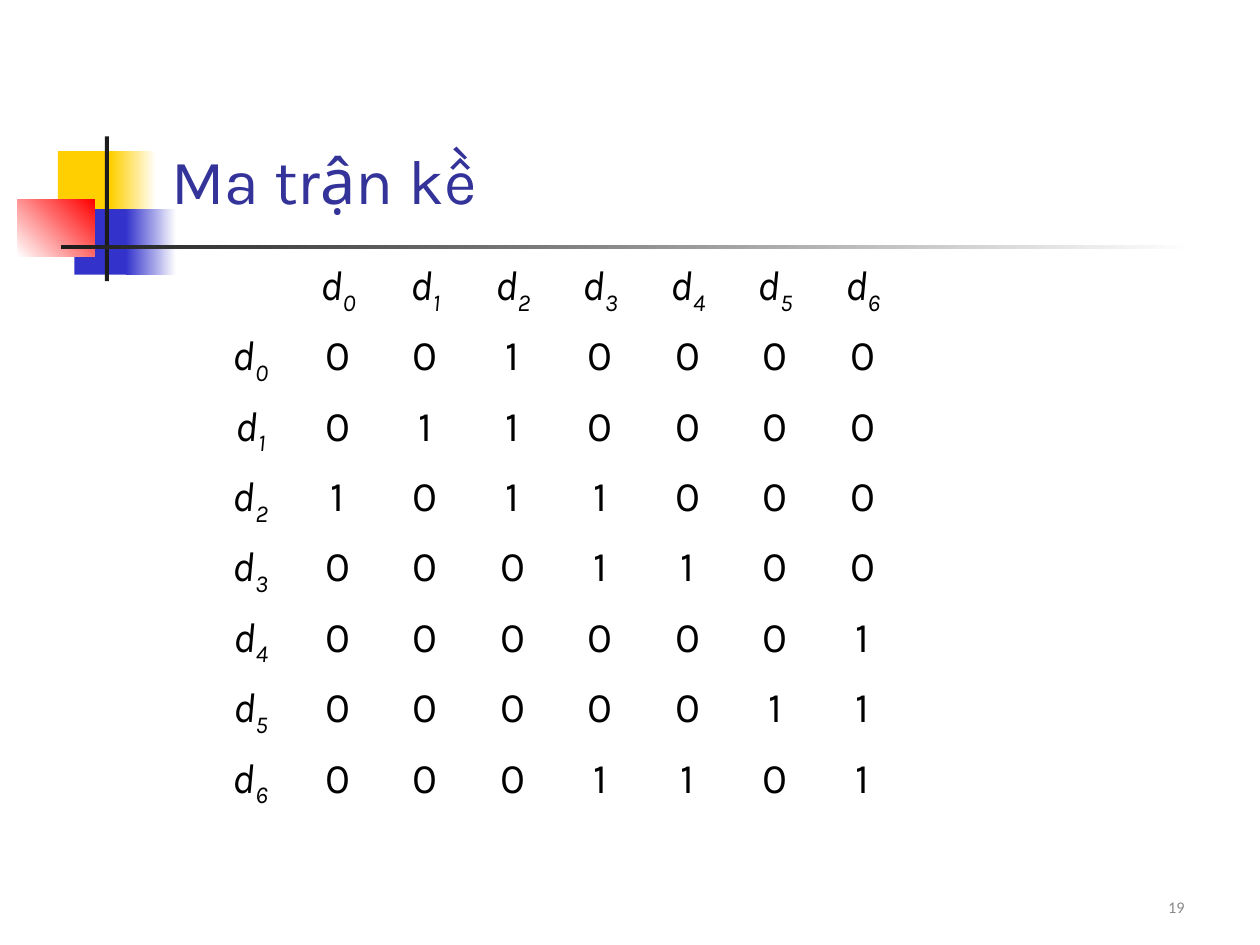
from dataclasses import dataclass

from pptx import Presentation
from pptx.dml.color import RGBColor
from pptx.enum.shapes import MSO_SHAPE
from pptx.enum.text import MSO_ANCHOR, PP_ALIGN
from pptx.util import Pt


@dataclass(frozen=True)
class Theme:
    yellow: str = "FFCF01"
    blue: str = "3333CC"
    red: str = "FF0000"
    dark: str = "1C1C1C"
    white: str = "FFFFFF"
    title: str = "333399"
    text: str = "000000"
    muted: str = "898989"
    font: str = "Karla"
    number_font: str = "Calibri"
    title_size: float = 36
    cell_size: float = 24
    number_size: float = 9.3


theme = Theme()


def set_font(p, name, size, color):
    p.font.name = name
    p.font.size = Pt(size)
    p.font.color.rgb = RGBColor.from_string(color)


prs = Presentation()
prs.slide_width, prs.slide_height = Pt(720), Pt(540)
s = prs.slides.add_slide(prs.slide_layouts[5])

# Corner ornament and rule: left, top, width, height, colours, angle
ornament = [
    (33.12, 86.4, 34.56, 37.44, [theme.yellow], 0),
    (63.36, 86.4, 25.92, 37.44, [theme.yellow, theme.white], 0),
    (42.48, 119.52, 33.12, 37.44, [theme.blue], 0),
    (72, 119.52, 28.8, 37.44, [theme.blue, theme.white], 0),
    (10.08, 113.76, 43.92, 33.12, [theme.white, theme.red], 45),
    (59.9, 77.9, 2.3, 82.8, [theme.dark], 0),
    (34.7, 140.1, 648, 2.3, [theme.dark, theme.white], 0),
]
for left, top, width, height, colors, angle in ornament:
    sp = s.shapes.add_shape(MSO_SHAPE.RECTANGLE, Pt(left), Pt(top), Pt(width), Pt(height))
    sp.shadow.inherit = False
    sp.line.fill.background()
    if len(colors) == 1:
        sp.fill.solid()
        sp.fill.fore_color.rgb = RGBColor.from_string(colors[0])
    else:
        sp.fill.gradient()
        sp.fill.gradient_angle = angle
        for stop, color in zip(sp.fill.gradient_stops, colors):
            stop.color.rgb = RGBColor.from_string(color)

# Title
title = s.shapes.title
title.left, title.top, title.width, title.height = Pt(90.7), Pt(77), Pt(613.4), Pt(54.7)
tf = title.text_frame
tf.text = "Ma trận kề"
tf.vertical_anchor = MSO_ANCHOR.TOP
p = tf.paragraphs[0]
p.alignment = PP_ALIGN.LEFT
set_font(p, theme.font, theme.title_size, theme.title)

# Adjacency matrix with d0 to d6 as row and column headings
matrix = [
    "0010000",
    "0110000",
    "1011000",
    "0001100",
    "0000001",
    "0000011",
    "0001101",
]
n = len(matrix) + 1
table = s.shapes.add_table(n, n, Pt(118.1), Pt(146.2), Pt(50 * n), Pt(40.2 * n)).table
table.first_row = False
table.horz_banding = False
for row in range(n):
    for col in range(n):
        cell = table.cell(row, col)
        cell.fill.background()
        p = cell.text_frame.paragraphs[0]
        p.alignment = PP_ALIGN.CENTER
        set_font(p, theme.font, theme.cell_size, theme.text)
        if row and col:
            p.add_run().text = matrix[row - 1][col - 1]
        elif row or col:
            p.font.italic = True
            p.add_run().text = "d"
            r = p.add_run()
            r.text = str(row + col - 1)
            r.font._element.set("baseline", "-25000")

# Slide number
number = s.shapes.add_textbox(Pt(516.2), Pt(509.8), Pt(167.8), Pt(19.4))
tf = number.text_frame
tf.word_wrap = True
tf.vertical_anchor = MSO_ANCHOR.MIDDLE
tf.text = "19"
p = tf.paragraphs[0]
p.alignment = PP_ALIGN.RIGHT
p.line_spacing = 0.8
set_font(p, theme.number_font, theme.number_size, theme.muted)

prs.save("out.pptx")
